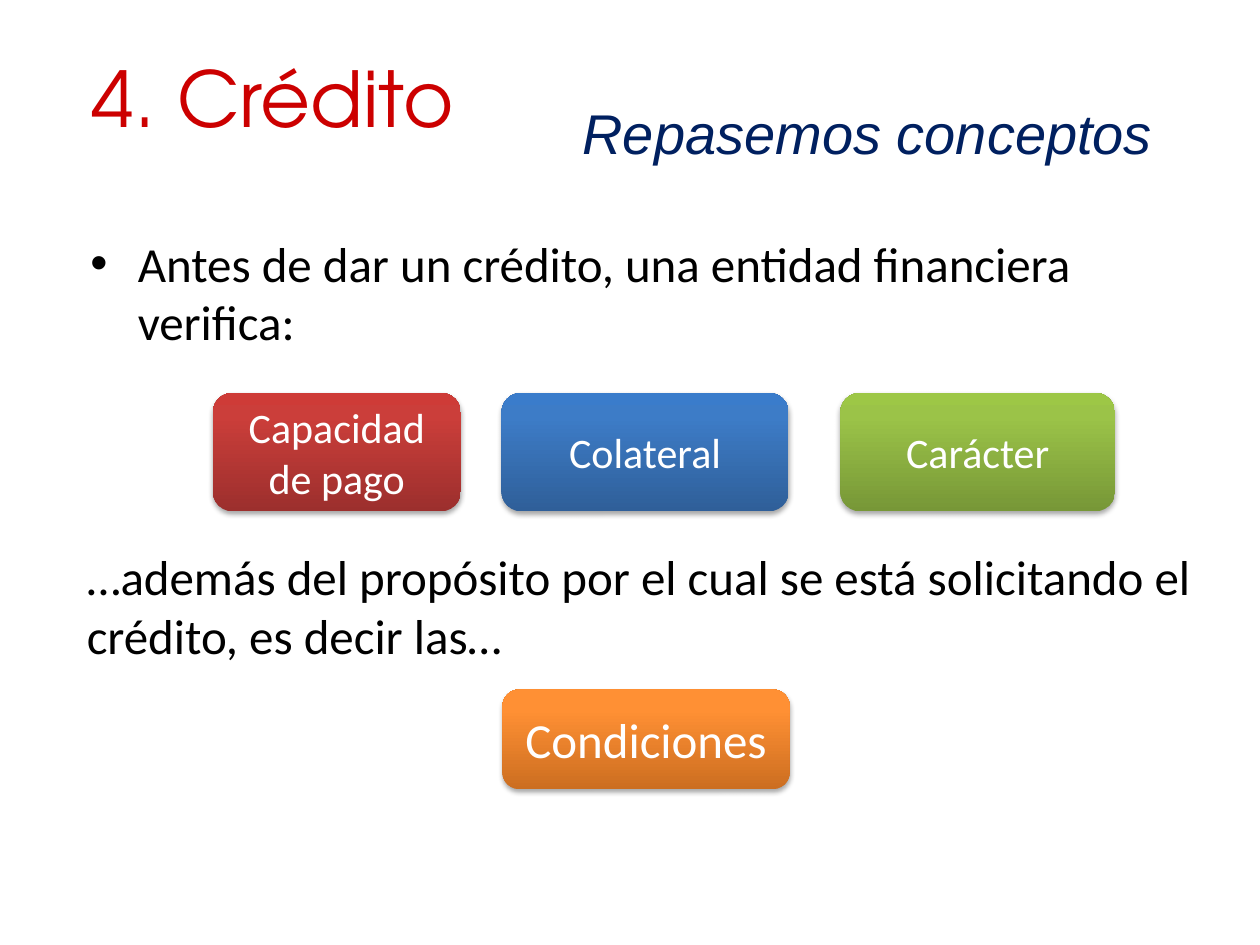
from pptx import Presentation
from pptx.dml.color import RGBColor
from pptx.enum.shapes import MSO_SHAPE as Shape
from pptx.enum.text import MSO_ANCHOR as Anchor, MSO_AUTO_SIZE as AutoSize, PP_ALIGN as Align
from pptx.oxml import parse_xml
from pptx.oxml.ns import nsdecls
from pptx.util import Cm, Pt

COLORS = {"title": "CC0000", "subtitle": "002060", "text": "000000", "card": "FFFFFF"}

# Gradient colours from the bottom edge (0 %) through 80 % to the top (100 %)
GRADIENTS = {
    "red": ("9C2F2D", "CB3E3A", "CE3B37"),
    "blue": ("2F5F99", "3D7CC7", "3A7CCB"),
    "green": ("779737", "9BC348", "9DC746"),
    "orange": ("CC6E20", "FF9034", "FF9136"),
}


def place(shape, box):
    shape.left, shape.top, shape.width, shape.height = (Cm(length) for length in box)


def write(shape, text, size, color, font="Calibri", italic=None,
          align=Align.LEFT, anchor=Anchor.TOP, space_before=None):
    frame = shape.text_frame
    frame.word_wrap = True
    frame.auto_size = AutoSize.NONE
    frame.vertical_anchor = anchor
    para = frame.paragraphs[0]
    para.alignment = align
    if space_before is not None:
        para.space_before = Pt(space_before)
    span = para.add_run()
    span.text = text
    span.font.name = font
    span.font.size = Pt(size)
    span.font.italic = italic
    span.font.color.rgb = RGBColor.from_string(COLORS[color])


def add_text(page, box, text, **style):
    shape = page.shapes.add_textbox(*(Cm(length) for length in box))
    write(shape, text, **style)


def add_card(page, box, text, gradient, size=24):
    card = page.shapes.add_shape(Shape.ROUNDED_RECTANGLE, *(Cm(length) for length in box))
    card.line.fill.background()
    stops = "".join(
        f'<a:gs pos="{percent * 1000}"><a:srgbClr val="{color}"/></a:gs>'
        for percent, color in zip((0, 80, 100), GRADIENTS[gradient])
    )
    properties = card.element.spPr
    outline = properties.find("{*}ln")
    outline.addprevious(parse_xml(
        f'<a:gradFill rotWithShape="1" {nsdecls("a")}><a:gsLst>{stops}</a:gsLst>'
        '<a:lin ang="16200000" scaled="0"/></a:gradFill>'
    ))
    outline.addnext(parse_xml(
        f'<a:effectLst {nsdecls("a")}>'
        f'<a:outerShdw blurRad="{Pt(3.1)}" dist="{Pt(1.8)}" dir="5400000" rotWithShape="0">'
        '<a:srgbClr val="000000"><a:alpha val="35000"/></a:srgbClr>'
        '</a:outerShdw></a:effectLst>'
    ))
    write(card, text, size=size, color="card", align=Align.CENTER, anchor=Anchor.MIDDLE)


def add_heading(page, box):
    left, top, width, height = box
    title = page.shapes.title
    place(title, box)
    write(title, "4. Crédito", size=44, color="title", font="TeX Gyre Adventor",
          anchor=Anchor.MIDDLE)
    add_text(page, (left + 7.29, top + 1.57, 14.6, 1.47), "Repasemos conceptos",
             size=32, color="subtitle", font="Arial", italic=True,
             align=Align.RIGHT, anchor=Anchor.MIDDLE)


def add_checks(page, box):
    left, top, width, height = box
    cards = (
        (0, 5, "Capacidad de pago", "red"),
        (5.82, 5.79, "Colateral", "blue"),
        (12.65, 5.54, "Carácter", "green"),
    )
    for offset, card_width, text, gradient in cards:
        add_card(page, (left + offset, top, card_width, height), text, gradient)


def add_conditions(page, box):
    left, top, width, height = box
    add_text(page, (left, top, width, 3.33),
             "…además del propósito por el cual se está solicitando el crédito, "
             "es decir las…", size=28, color="text", space_before=5.6)
    add_card(page, (left + 8.63, top + 3, 5.79, 2.01), "Condiciones", "orange", size=28)


def main():
    deck = Presentation()
    deck.slide_width, deck.slide_height = Cm(25.4), Cm(19.05)
    page = deck.slides.add_slide(deck.slide_layouts[1])

    # Title and subtitle
    add_heading(page, (1.6, 0.36, 22.86, 3.18))

    # Bulleted introduction
    body = page.placeholders[1]
    place(body, (1.57, 4.57, 22.86, 2.87))
    write(body, "Antes de dar un crédito, una entidad financiera verifica:",
          size=28, color="text")

    # What the lender checks
    add_checks(page, (4.29, 7.92, 18.19, 2.39))

    # Purpose of the credit
    add_conditions(page, (1.5, 10.9, 22.86, 5.01))

    deck.save("out.pptx")


if __name__ == "__main__":
    main()
